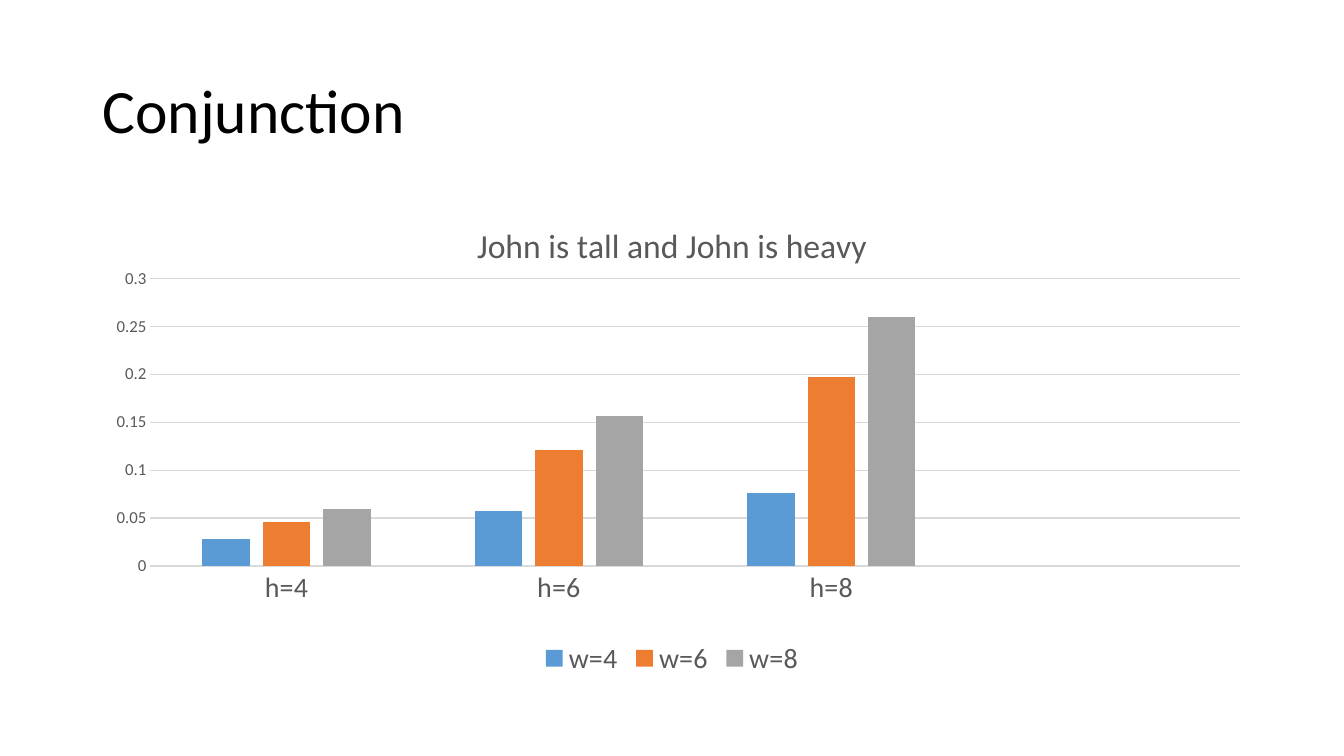
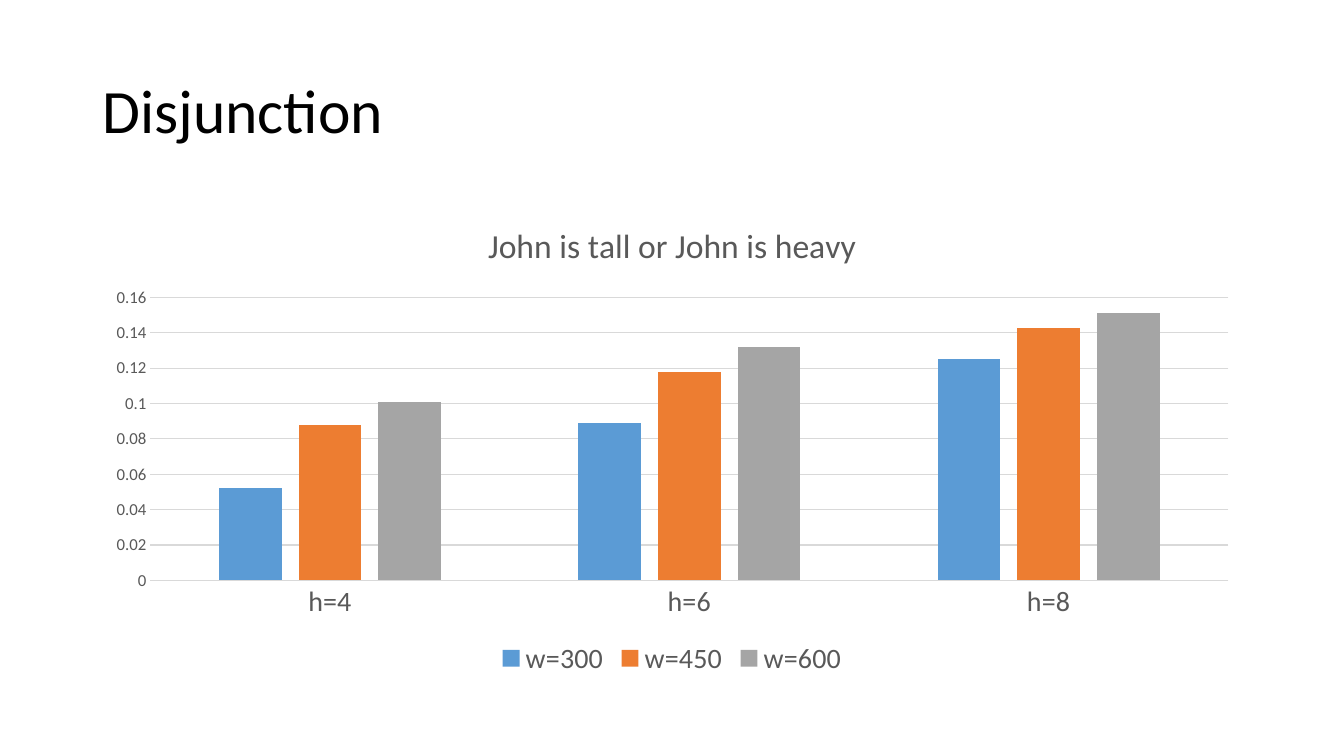
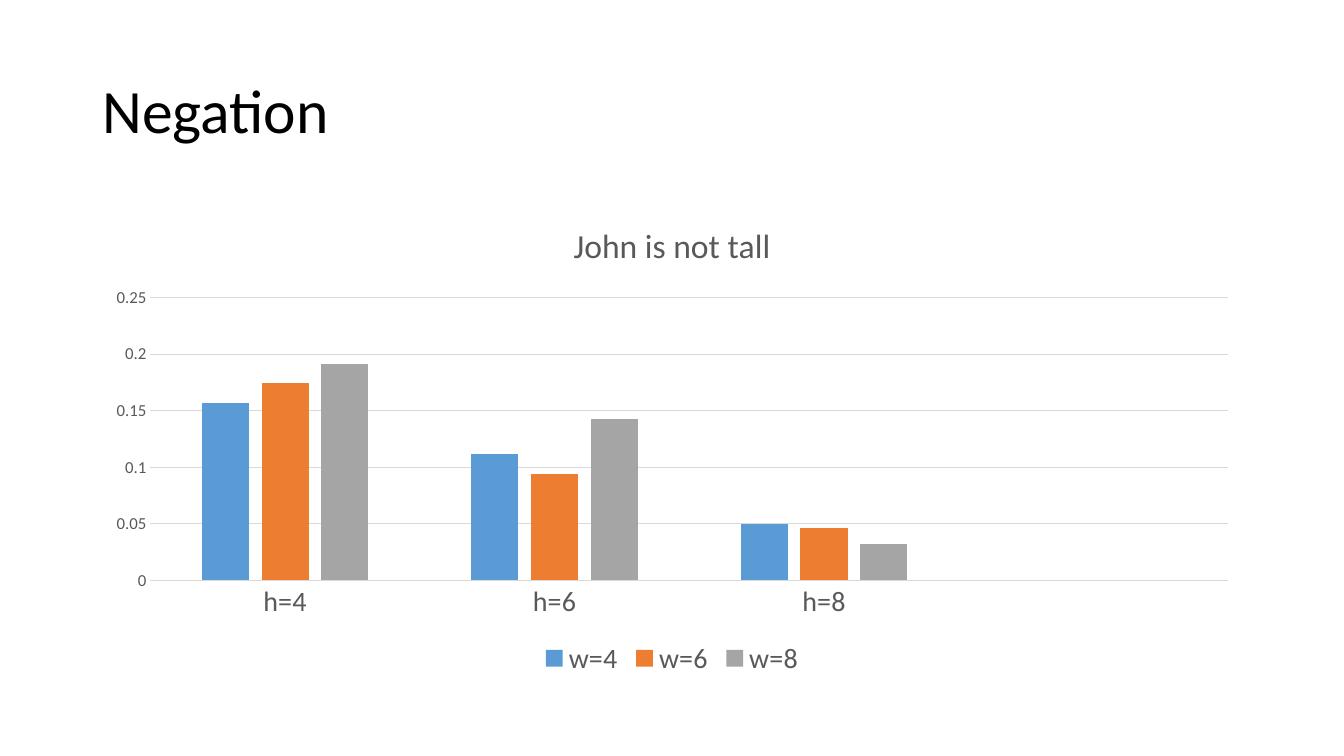
from lxml import etree
from pptx import Presentation
from pptx import util as u
from pptx.chart.data import CategoryChartData
from pptx.dml.color import RGBColor
from pptx.enum import chart as kinds
from pptx.enum import text

Pt = u.Pt
BLACK = RGBColor(0x00, 0x00, 0x00)
GREY = RGBColor(0x59, 0x59, 0x59)
RULE = RGBColor(0xD9, 0xD9, 0xD9)
BLUE = RGBColor(0x5B, 0x9B, 0xD5)
ORANGE = RGBColor(0xED, 0x7D, 0x31)
SILVER = RGBColor(0xA5, 0xA5, 0xA5)
FILLS = (BLUE, ORANGE, SILVER)
FONT = "Calibri"
LEFT, WIDE = 66, 828
NS = "http://schemas.openxmlformats.org/drawingml/2006/chart"

HIGH = (0.05, 0.16, 0.94, 0.6)
LOW = (0.05, 0.2, 0.93, 0.59)
HEIGHTS = ["h=4", "h=6", "h=8"]
GAPPED = HEIGHTS + [""]  # an empty fourth group keeps room at the right

SLIDES = [
    ("Conjunction", "John is tall and John is heavy", GAPPED, HIGH, {
        "w=4": (0.028, 0.057, 0.076, None),
        "w=6": (0.046, 0.121, 0.197, None),
        "w=8": (0.059, 0.156, 0.26, None)}),
    ("Disjunction", "John is tall or John is heavy", HEIGHTS, LOW, {
        "w=300": (0.052, 0.089, 0.125),
        "w=450": (0.088, 0.118, 0.143),
        "w=600": (0.101, 0.132, 0.151)}),
    ("Negation", "John is not tall", GAPPED, LOW, {
        "w=4": (0.157, 0.112, 0.05, None),
        "w=6": (0.174, 0.094, 0.046, None),
        "w=8": (0.191, 0.143, 0.032, None)}),
]


class Deck:
    def __init__(self):
        self.prs = Presentation()
        self.prs.slide_width, self.prs.slide_height = Pt(960), Pt(540)
        self.slide = None

    def style(self, font, size, color=GREY):
        font.name, font.size, font.bold = FONT, Pt(size), False
        font.color.rgb = color

    def add_run(self, par, words, size, color=GREY):
        run = par.add_run()
        run.text = words
        self.style(run.font, size, color)

    def start(self, words):
        """Add a slide and set its title."""
        self.slide = self.prs.slides.add_slide(self.prs.slide_layouts[5])
        title = self.slide.shapes.title
        title.left, title.top = Pt(LEFT), Pt(28.8)
        title.width, title.height = Pt(WIDE), Pt(104.4)
        frame = title.text_frame
        frame.vertical_anchor = text.MSO_ANCHOR.MIDDLE
        par = frame.paragraphs[0]
        par.alignment = text.PP_ALIGN.LEFT
        par.line_spacing = 0.9
        self.add_run(par, words, 44, BLACK)

    def columns(self, head, cats, area, rows):
        data = CategoryChartData()
        data.categories = cats
        for name, vals in rows.items():
            data.add_series(name, vals)
        chart = self.slide.shapes.add_chart(
            kinds.XL_CHART_TYPE.COLUMN_CLUSTERED,
            Pt(LEFT), Pt(144), Pt(WIDE), Pt(342.6), data).chart
        self.style(chart.font, 10, BLACK)
        self.add_run(chart.chart_title.text_frame.paragraphs[0], head, 24)
        chart.chart_title.include_in_layout = False
        chart.has_legend = True
        chart.legend.position = kinds.XL_LEGEND_POSITION.BOTTOM
        chart.legend.include_in_layout = False
        self.style(chart.legend.font, 20)
        self.axis(chart.category_axis, 20)
        self.rule(chart.category_axis.format.line)
        self.axis(chart.value_axis, 12)
        chart.value_axis.format.line.fill.background()
        self.rule(chart.value_axis.major_gridlines.format.line)
        plot = chart.plots[0]
        plot.gap_width, plot.overlap = 219, -27
        plot.vary_by_categories = False
        for row, fill in zip(plot.series, FILLS):
            row.format.fill.solid()
            row.format.fill.fore_color.rgb = fill
        self.place(chart, area)

    def axis(self, axis, size):
        axis.major_tick_mark = axis.minor_tick_mark = kinds.XL_TICK_MARK.NONE
        self.style(axis.tick_labels.font, size)
        axis.tick_labels.number_format = "General"
        axis.tick_labels.number_format_is_linked = False

    def rule(self, line):
        line.color.rgb = RULE
        line.width = Pt(0.75)

    def place(self, chart, area):
        """Fix the inner plot area, as shares of the chart."""
        zone = chart.plots[0]._element.getparent()
        for old in zone.findall(f"{{{NS}}}layout"):
            zone.remove(old)
        layout = etree.Element(f"{{{NS}}}layout")
        box = etree.SubElement(layout, f"{{{NS}}}manualLayout")
        pairs = [("layoutTarget", "inner"), ("xMode", "edge"),
                 ("yMode", "edge"), *zip("xywh", area)]
        for tag, val in pairs:
            etree.SubElement(box, f"{{{NS}}}{tag}", val=str(val))
        zone.insert(0, layout)


def main():
    deck = Deck()
    for title, *chart in SLIDES:
        deck.start(title)
        deck.columns(*chart)
    deck.prs.save("out.pptx")


if __name__ == "__main__":
    main()
